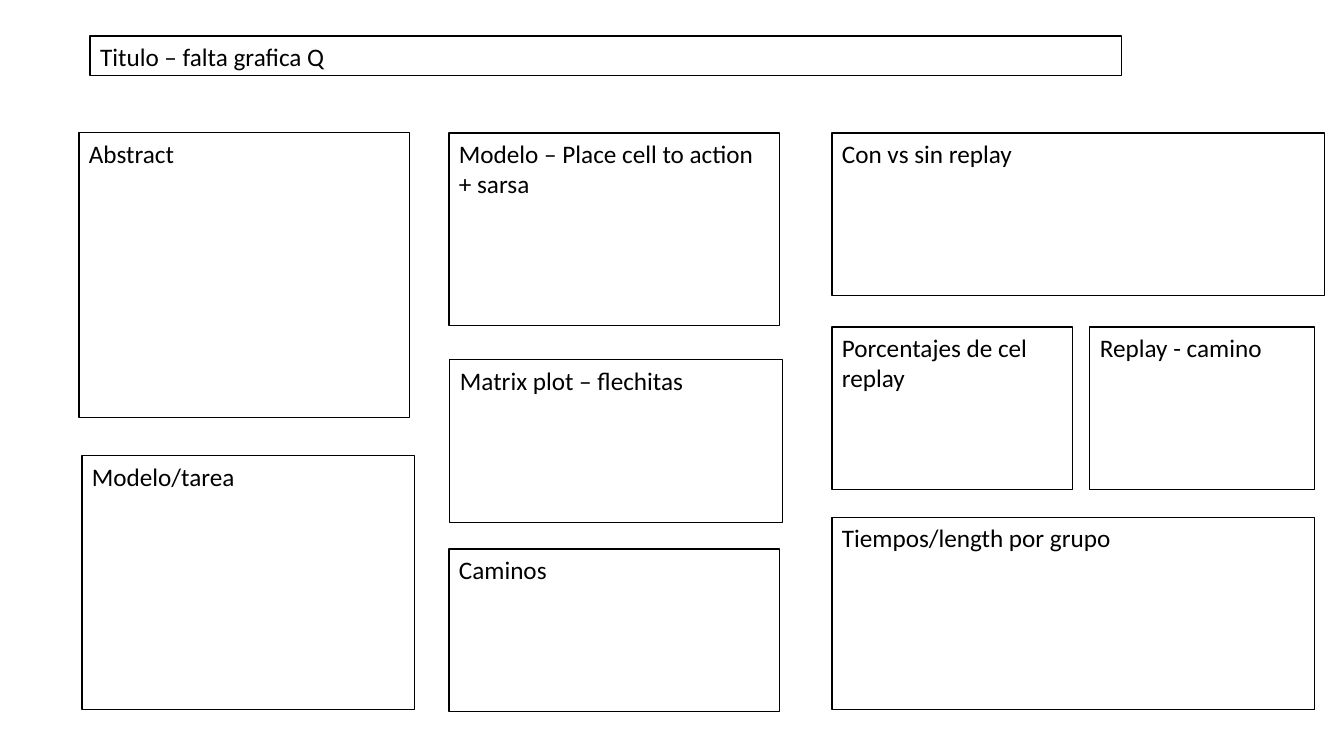
from pptx import Presentation
from pptx.dml.color import RGBColor
from pptx.enum.text import MSO_ANCHOR, MSO_AUTO_SIZE, PP_ALIGN
from pptx.util import Pt

TOP = MSO_ANCHOR.TOP
NO_AUTOFIT = MSO_AUTO_SIZE.NONE
LEFT = PP_ALIGN.LEFT
SCALE = 914400 / 100.8
BLACK = "000000"
TITLE_ONLY = 5


def pixels(value):
    return round(value * SCALE)


def format_box(shape, text, box):
    shape.left, shape.top, shape.width, shape.height = map(pixels, box)
    shape.line.color.rgb = RGBColor.from_string(BLACK)
    shape.line.width = Pt(0.75)
    frame = shape.text_frame
    frame.word_wrap = True
    frame.auto_size = NO_AUTOFIT
    frame.vertical_anchor = TOP
    frame.text = text
    paragraph = frame.paragraphs[0]
    paragraph.alignment = LEFT
    paragraph.font.name = "Calibri"
    paragraph.font.size = Pt(18)
    paragraph.font.color.rgb = RGBColor.from_string(BLACK)


presentation = Presentation()
presentation.slide_width = pixels(1344)
presentation.slide_height = pixels(756)
slide = presentation.slides.add_slide(presentation.slide_layouts[TITLE_ONLY])

format_box(slide.shapes.title, "Titulo – falta grafica Q", (90, 36, 1032, 40))

panels = [
    ("Abstract", (79, 133, 331, 285)),
    ("Modelo/tarea", (82, 456, 333, 254)),
    ("Modelo – Place cell to action + sarsa", (449, 133, 331, 193)),
    ("Matrix plot – flechitas", (450, 360, 333, 163)),
    ("Caminos", (449, 549, 331, 163)),
    ("Con vs sin replay", (832, 133, 493, 163)),
    ("Porcentajes de cel replay", (832, 327, 241, 163)),
    ("Replay - camino", (1090, 327, 225, 163)),
    ("Tiempos/length por grupo", (832, 517, 483, 193)),
]
for text, box in panels:
    panel = slide.shapes.add_textbox(0, 0, 0, 0)
    format_box(panel, text, box)

presentation.save("out.pptx")
